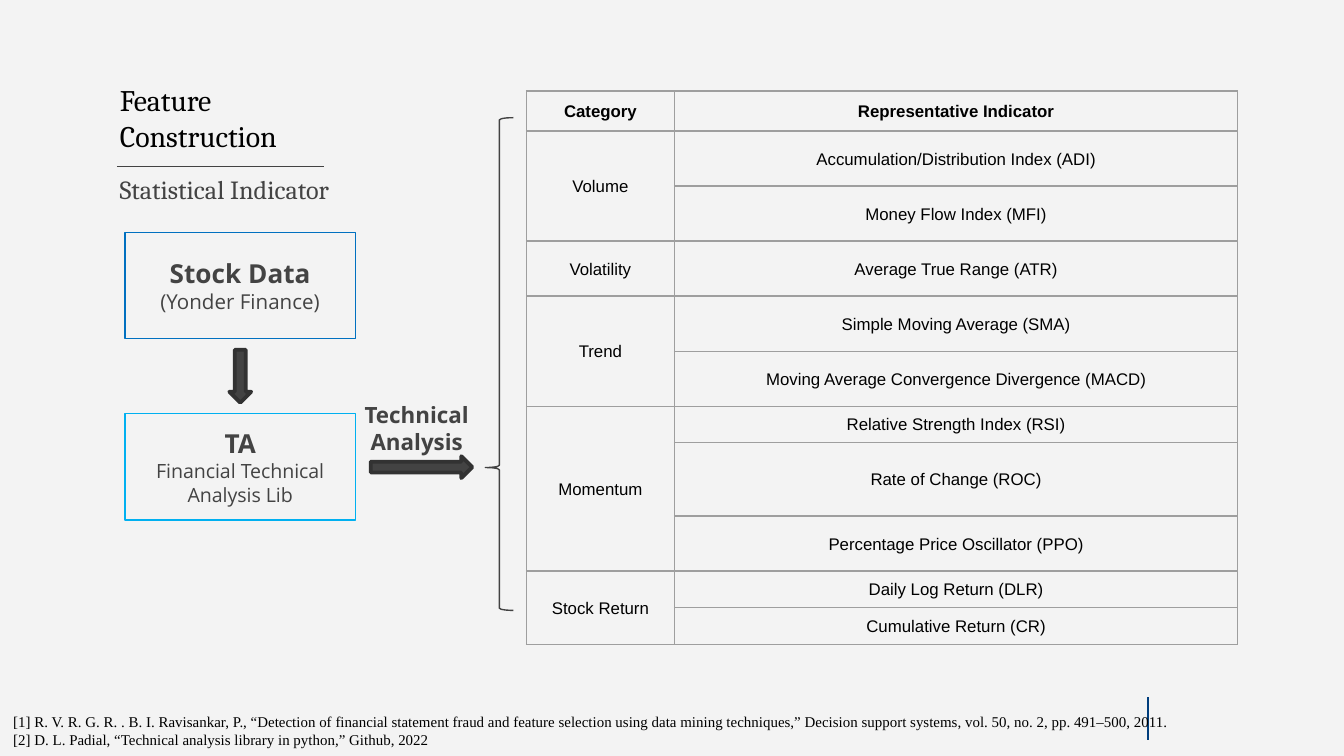
"""Build the Feature Construction slide with its flow and indicator table."""
from lxml.etree import SubElement
from pptx import Presentation
from pptx.dml.color import RGBColor
from pptx.enum.shapes import MSO_CONNECTOR, MSO_SHAPE
from pptx.enum.text import MSO_ANCHOR, MSO_AUTO_SIZE, PP_ALIGN
from pptx.oxml import parse_xml
from pptx.oxml.ns import nsdecls, qn
from pptx.util import Pt

color = RGBColor.from_string


def fill_text(frame, lines, font_name, text_color, align, inset=7.2):
    """Write (text, size, bold) lines into a text frame."""
    frame.word_wrap = True
    frame.auto_size = MSO_AUTO_SIZE.NONE
    frame.vertical_anchor = MSO_ANCHOR.MIDDLE
    frame.margin_left = frame.margin_right = Pt(inset)
    frame.margin_top = frame.margin_bottom = Pt(inset)
    for index, (text, size, bold) in enumerate(lines):
        paragraph = frame.add_paragraph() if index else frame.paragraphs[0]
        paragraph.text = text
        paragraph.alignment = align
        paragraph.font.name = font_name
        paragraph.font.size = Pt(size)
        paragraph.font.bold = bold
        paragraph.font.color.rgb = color(text_color)


def add_outlined(kind, box, line_color, line_width, fill=None):
    """Add a preset shape with an outline and an optional solid fill."""
    shape = slide.shapes.add_shape(kind, *map(Pt, box))
    shape.shadow.inherit = False
    if fill:
        shape.fill.solid()
        shape.fill.fore_color.rgb = color(fill)
    else:
        shape.fill.background()
    shape.line.color.rgb = color(line_color)
    shape.line.width = Pt(line_width)
    return shape


presentation = Presentation()
presentation.slide_width = Pt(720)
presentation.slide_height = Pt(405)
slide = presentation.slides.add_slide(presentation.slide_layouts[5])
slide.background.fill.solid()
slide.background.fill.fore_color.rgb = color("F3F3F3")

title = slide.shapes.title
title.left, title.top, title.width, title.height = map(Pt, (57, 36.7, 123, 74))
fill_text(title.text_frame, [("Feature\nConstruction", 16, False)],
          "Cambria", "000000", PP_ALIGN.LEFT)
title.text_frame.vertical_anchor = MSO_ANCHOR.TOP

text_boxes = [
    ((57, 75.6, 165.6, 51), [("Statistical Indicator", 14, False)],
     "Cambria", PP_ALIGN.LEFT),
    ((179.3, 208.4, 88, 42), [("Technical", 12, True), ("Analysis", 12, True)],
     "Open Sans", PP_ALIGN.CENTER),
]
for box, lines, font_name, align in text_boxes:
    text_box = slide.shapes.add_textbox(*map(Pt, box))
    fill_text(text_box.text_frame, lines, font_name, "434343", align)

steps = [
    (124.5, "0070C0", [("Stock Data", 14, True), ("(Yonder Finance)", 11, False)]),
    (221.6, "00B0F0", [("TA", 14, True),
                       ("Financial Technical Analysis Lib", 10.5, False)]),
]
for top, line_color, lines in steps:
    step = add_outlined(MSO_SHAPE.RECTANGLE, (67, top, 123.4, 57), line_color, 0.75)
    fill_text(step.text_frame, lines, "Open Sans", "434343", PP_ALIGN.CENTER)

for box, rotation in [((114.5, 195.7, 28.4, 11.7), 90), ((198.6, 244.4, 54.4, 11.7), 0)]:
    arrow = add_outlined(MSO_SHAPE.RIGHT_ARROW, box, "323232", 2, "434343")
    arrow.rotation = rotation

brace = add_outlined(MSO_SHAPE.RIGHT_BRACE, (260, 63, 15, 264), "424242", 0.75)
brace.rotation = 180
brace.adjustments[0] = 0.08
brace.adjustments[1] = 0.29

rules = [((62.7, 89.2, 173.6, 89.2), "424242", 0.75),
         ((615, 373.6, 615, 396.4), "003D7C", 1.5)]
for ends, line_color, line_width in rules:
    rule = slide.shapes.add_connector(MSO_CONNECTOR.STRAIGHT, *map(Pt, ends))
    rule.line.color.rgb = color(line_color)
    rule.line.width = Pt(line_width)
    SubElement(rule._element.spPr, qn("a:effectLst"))

groups = [
    ("Category", [("Representative Indicator", 21.5)]),
    ("Volume", [("Accumulation/Distribution Index (ADI)", 29.5),
                ("Money Flow Index (MFI)", 29.5)]),
    ("Volatility", [("Average True Range (ATR)", 29.5)]),
    ("Trend", [("Simple Moving Average (SMA)", 29.5),
               ("Moving Average Convergence Divergence (MACD)", 29.5)]),
    ("Momentum", [("Relative Strength Index (RSI)", 19.6),
                  ("Rate of Change (ROC)", 39.3),
                  ("Percentage Price Oscillator (PPO)", 29.5)]),
    ("Stock Return", [("Daily Log Return (DLR)", 19.6),
                      ("Cumulative Return (CR)", 19.6)]),
]
row_count = sum(len(indicators) for _, indicators in groups)
table = slide.shapes.add_table(row_count, 2, Pt(282), Pt(48.7), Pt(381), Pt(297)).table
table.first_row = table.horz_banding = False
table.columns[0].width = Pt(79.3)
table.columns[1].width = Pt(301.7)
row = 0
for category, indicators in groups:
    for offset, (indicator, height) in enumerate(indicators):
        table.rows[row + offset].height = Pt(height)
        for column, text in enumerate(("" if offset else category, indicator)):
            cell = table.cell(row + offset, column)
            fill_text(cell.text_frame, [(text, 9, row == 0)], "Arial", "000000",
                      PP_ALIGN.CENTER)
            cell.vertical_anchor = MSO_ANCHOR.MIDDLE
            cell.margin_left = cell.margin_right = cell.margin_top = Pt(0.75)
            cell.margin_bottom = Pt(0)
            properties = cell._tc.get_or_add_tcPr()
            for side in ("lnL", "lnR", "lnT", "lnB"):
                properties.append(parse_xml(
                    f'<a:{side} {nsdecls("a")} w="{Pt(0.75)}"><a:solidFill>'
                    f'<a:srgbClr val="9E9E9E"/></a:solidFill></a:{side}>'))
            cell.fill.background()
    if len(indicators) > 1:
        table.cell(row, 0).merge(table.cell(row + len(indicators) - 1, 0))
    row += len(indicators)

references = slide.shapes.add_textbox(Pt(0), Pt(378), Pt(664), Pt(26.6))
fill_text(references.text_frame, [
    ("[1] R. V. R. G. R. . B. I. Ravisankar, P., “Detection of financial statement "
     "fraud and feature selection using data mining techniques,” Decision support "
     "systems, vol. 50, no. 2, pp. 491–500, 2011.", 8, False),
    ("[2] D. L. Padial, “Technical analysis library in python,” Github, 2022", 8, False),
], "Times New Roman", "000000", PP_ALIGN.LEFT)
references.text_frame.margin_top = references.text_frame.margin_bottom = Pt(3.6)

presentation.save("out.pptx")
